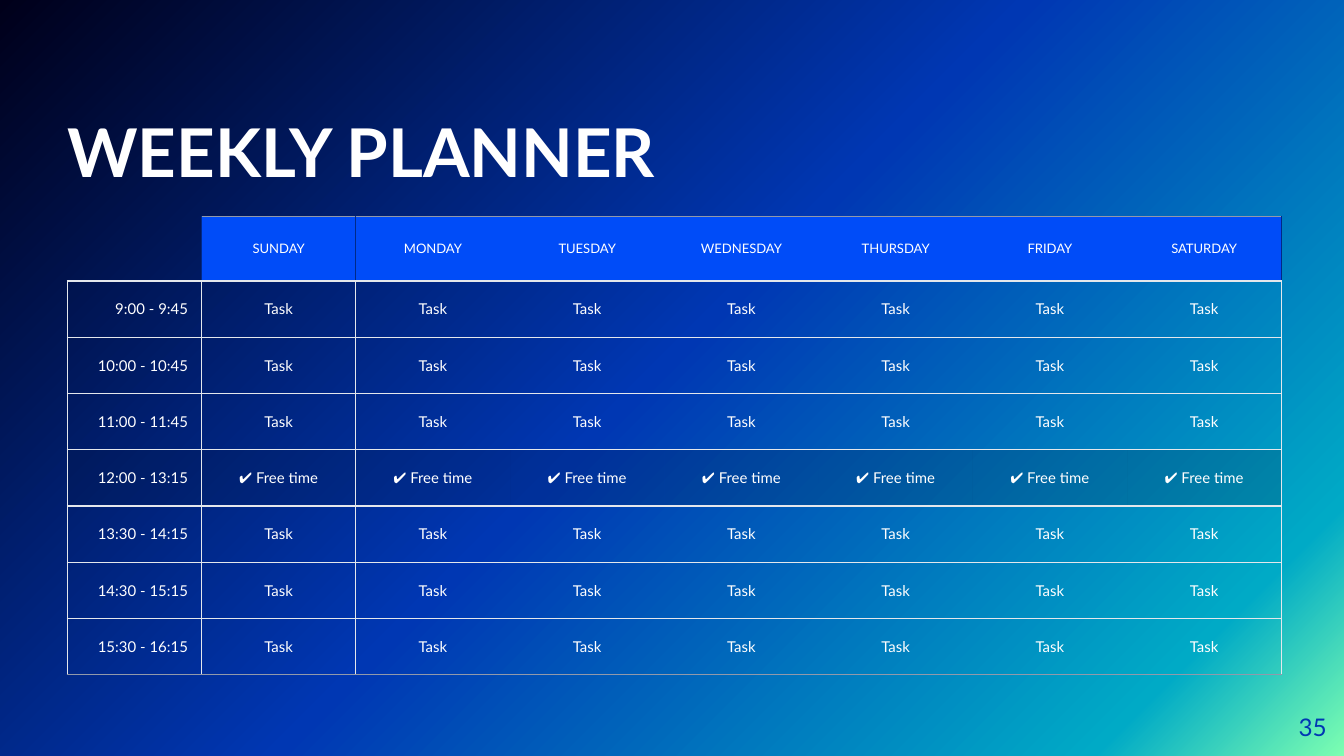
import pptx
import pptx.dml.color
import pptx.enum.text
import pptx.oxml
import pptx.oxml.ns
import pptx.util

Pt = pptx.util.Pt
ALIGN = pptx.enum.text.PP_ALIGN
ANCHOR = pptx.enum.text.MSO_ANCHOR

# Content
TITLE = "WEEKLY PLANNER"
PAGE_NUMBER = "35"
DAYS = ["SUNDAY", "MONDAY", "TUESDAY", "WEDNESDAY", "THURSDAY", "FRIDAY", "SATURDAY"]
FREE = "✔ Free time"
SLOTS = [
    ("9:00 - 9:45", "Task"),
    ("10:00 - 10:45", "Task"),
    ("11:00 - 11:45", "Task"),
    ("12:00 - 13:15", FREE),
    ("13:30 - 14:15", "Task"),
    ("14:30 - 15:15", "Task"),
    ("15:30 - 16:15", "Task"),
]

# Style
FONT = "Lato"
COLORS = {
    "text": "FFFFFF",
    "number": "0037B3",
    "header": "004CF8",
    "header side": "002988",
    "outer": "9199AA",
    "grid": "E4E7EC",
    "free": "001230",
}
GRADIENT = [(0, "7DFFB1"), (12, "00AAC6"), (51, "0037B3"), (100, "00001A")]
FREE_ALPHA = 19
NO_STYLE = "{2D5ABB26-0587-4C30-8999-92F81FD0307C}"
TABLE_LEFT, TABLE_TOP = 36, 115.8
TIME_WIDTH, DAY_WIDTH = 72, 82.63
HEADER_HEIGHT, SLOT_HEIGHT = 34.8, 30.15


def xml(text):
    return pptx.oxml.parse_xml(text.replace(">", f" {pptx.oxml.ns.nsdecls('a', 'p')}>", 1))


def write(para, text, size, color, align):
    para.alignment = align
    span = para.add_run()
    span.text = text
    span.font.name = FONT
    span.font.size = Pt(size)
    span.font.color.rgb = pptx.dml.color.RGBColor.from_string(COLORS[color])
    return span


def set_frame(box, anchor):
    frame = box.text_frame
    frame.margin_left = frame.margin_right = frame.margin_top = frame.margin_bottom = 0
    frame.word_wrap = True
    frame.auto_size = pptx.enum.text.MSO_AUTO_SIZE.NONE
    frame.vertical_anchor = anchor
    return frame.paragraphs[0]


def set_borders(cell, borders):
    properties = cell._tc.get_or_add_tcPr()
    for side in "LRTB":
        if side in borders:
            properties.append(xml(
                f'<a:ln{side} w="{Pt(0.75)}"><a:solidFill>'
                f'<a:srgbClr val="{COLORS[borders[side]]}"/></a:solidFill></a:ln{side}>'))


def fill_cell(cell, color, alpha=None):
    cell.fill.solid()
    cell.fill.fore_color.rgb = pptx.dml.color.RGBColor.from_string(COLORS[color])
    if alpha is not None:
        value = cell._tc.tcPr.find(pptx.oxml.ns.qn("a:solidFill"))[0]
        value.append(xml(f'<a:alpha val="{alpha * 1000}"></a:alpha>'))


def borders_for(row, column):
    last_column = len(DAYS)
    if row == 0:
        if column == 0:
            return {"R": "header side", "B": "grid"}
        borders = {"T": "outer", "B": "grid"}
        side_color = "header side"
    else:
        borders = {"T": "grid", "B": "outer" if row == len(SLOTS) else "grid"}
        side_color = "grid"
    if column <= 1:
        borders["L"] = side_color
    if column in (0, last_column):
        borders["R"] = side_color
    return borders


deck = pptx.Presentation()
deck.slide_width, deck.slide_height = Pt(720), Pt(405)
page = deck.slides.add_slide(deck.slide_layouts[5])

# Background gradient, from the bottom right corner to the top left
stops = "".join(f'<a:gs pos="{place * 1000}"><a:srgbClr val="{color}"/></a:gs>'
                for place, color in GRADIENT)
page._element.cSld.insert(0, xml(
    f'<p:bg><p:bgPr><a:gradFill><a:gsLst>{stops}</a:gsLst>'
    f'<a:lin ang="{225 * 60000}" scaled="0"/></a:gradFill><a:effectLst/></p:bgPr></p:bg>'))

# Title
title = page.shapes.title
title.left, title.top, title.width, title.height = Pt(36), Pt(34.5), Pt(474.5), Pt(67.7)
heading = write(set_frame(title, ANCHOR.BOTTOM), TITLE, 36, "text", ALIGN.LEFT)
heading.font.bold = True

# Page number
number = page.shapes.add_textbox(Pt(667.5), Pt(373.7), Pt(43.2), Pt(31))
write(set_frame(number, ANCHOR.MIDDLE), PAGE_NUMBER, 13, "number", ALIGN.RIGHT)

# Planner table
rows = [[""] + DAYS] + [[time] + [entry] * len(DAYS) for time, entry in SLOTS]
widths = [TIME_WIDTH] + [DAY_WIDTH] * len(DAYS)
heights = [HEADER_HEIGHT] + [SLOT_HEIGHT] * len(SLOTS)
frame = page.shapes.add_table(len(rows), len(widths), Pt(TABLE_LEFT), Pt(TABLE_TOP),
                              Pt(sum(widths)), Pt(sum(heights)))
planner = frame.table
planner.first_row = planner.horz_banding = False
planner._tbl.tblPr.find(pptx.oxml.ns.qn("a:tableStyleId")).text = NO_STYLE
for column, width in zip(planner.columns, widths):
    column.width = Pt(width)
for row, height in zip(planner.rows, heights):
    row.height = Pt(height)

for r, texts in enumerate(rows):
    for c, text in enumerate(texts):
        cell = planner.cell(r, c)
        margin = Pt(7.2) if text else 0
        cell.margin_left = cell.margin_right = cell.margin_top = cell.margin_bottom = margin
        cell.vertical_anchor = ANCHOR.MIDDLE
        set_borders(cell, borders_for(r, c))
        if r == 0 and c > 0:
            fill_cell(cell, "header")
        elif FREE in texts:
            fill_cell(cell, "free", FREE_ALPHA)
        else:
            cell.fill.background()
        if text:
            write(cell.text_frame.paragraphs[0], text, 7 if r == 0 else 8, "text",
                  ALIGN.CENTER if c else ALIGN.RIGHT)

deck.save("out.pptx")
